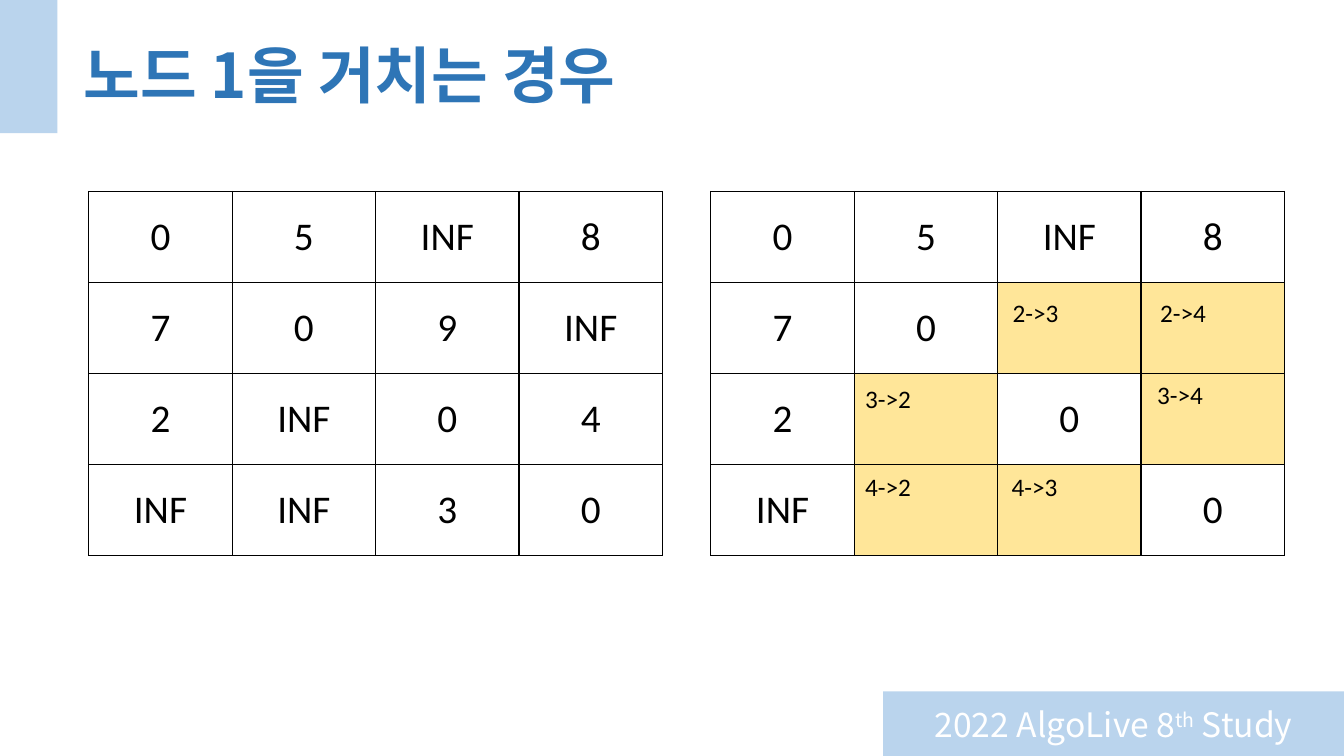
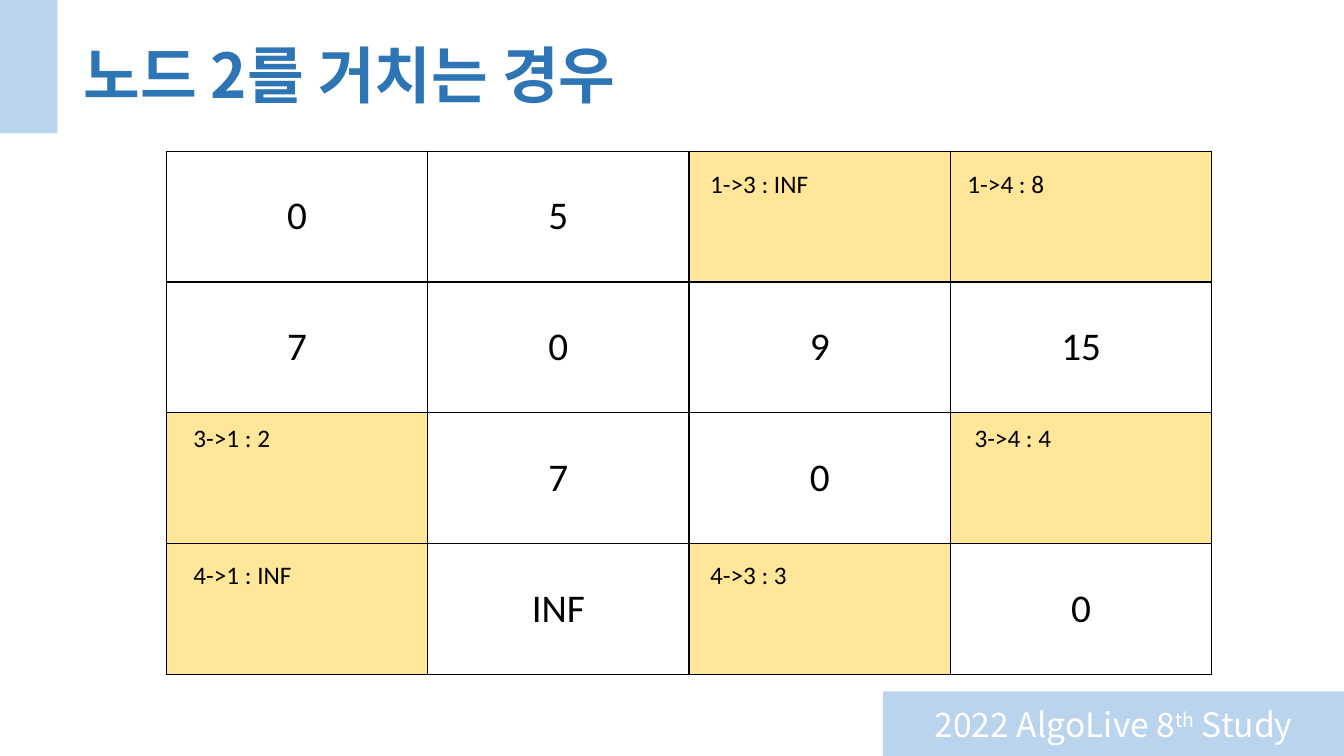
from pptx import Presentation
from pptx.dml.color import RGBColor
from pptx.enum.shapes import MSO_SHAPE
from pptx.enum.text import MSO_ANCHOR, PP_ALIGN
from pptx.oxml.ns import qn
from pptx.util import Inches, Pt
from lxml import etree

RECT = MSO_SHAPE.RECTANGLE
TOP, MIDDLE = MSO_ANCHOR.TOP, MSO_ANCHOR.MIDDLE
LEFT, CENTER = PP_ALIGN.LEFT, PP_ALIGN.CENTER

BAND, TITLE_BLUE, HIGHLIGHT = "9DC3E6", "2E75B6", "FFE699"
BLACK, WHITE = "000000", "FFFFFF"
HEADING_FONT, BODY_FONT = "Noto Sans CJK KR", "Calibri"
SLIDE_W, SLIDE_H = 13.33, 7.5
FOOTER = [("2022 AlgoLive 8", 0), ("th", 30), (" Study", 0)]

# Plain strings are distances; (label, dx, dy) marks a highlighted cell
# and the offset of its label from the cell's corner.
START = [
    ["0", "5", "INF", "8"],
    ["7", "0", "9", "INF"],
    ["2", "INF", "0", "4"],
    ["INF", "INF", "3", "0"],
]
VIA_NODE_1 = [
    ["0", "5", "INF", "8"],
    ["7", "0", ("2->3", 0.05, 0.1), ("2->4", 0.09, 0.1)],
    ["2", ("3->2", 0.01, 0.05), "0", ("3->4", 0.06, 0.01)],
    ["INF", ("4->2", 0.01, 0.02), ("4->3", 0.04, 0.02), "0"],
]
VIA_NODE_2 = [
    ["0", "5", ("1->3 : INF", 0.11, 0.12), ("1->4 : 8", 0.07, 0.12)],
    ["7", "0", "9", "15"],
    [("3->1 : 2", 0.17, 0.05), "7", "0", ("3->4 : 4", 0.14, 0.05)],
    [("4->1 : INF", 0.17, 0.11), "INF", ("4->3 : 3", 0.11, 0.11), "0"],
]


def color(hex_code):
    return RGBColor.from_string(hex_code)


def write(frame, runs, size=18, font=BODY_FONT, ink=BLACK, bold=False,
          align=LEFT, spacing=None):
    """Write one paragraph of (text, superscript percent) runs or a string."""
    paragraph = frame.paragraphs[0]
    paragraph.alignment = align
    if spacing:
        paragraph.line_spacing = spacing
    for text, raised in [(runs, 0)] if isinstance(runs, str) else runs:
        run = paragraph.add_run()
        run.text = text
        run.font.size, run.font.bold, run.font.name = Pt(size), bold, font
        run.font.color.rgb = color(ink)
        props = run._r.get_or_add_rPr()
        etree.SubElement(props, qn("a:ea")).set("typeface", font)
        if raised:
            props.set("baseline", str(raised * 1000))


def add_text(slide, box, text, anchor=TOP, **style):
    frame = slide.shapes.add_textbox(*map(Inches, box)).text_frame
    frame.word_wrap = True
    frame.vertical_anchor = anchor
    write(frame, text, **style)


def add_band(slide, box):
    band = slide.shapes.add_shape(RECT, *map(Inches, box))
    band.shadow.inherit = False
    band.fill.solid()
    band.fill.fore_color.rgb = color(BAND)
    band.line.fill.background()
    tint = band.fill._xPr.find(".//" + qn("a:srgbClr"))
    etree.SubElement(tint, qn("a:alpha")).set("val", "70000")
    return band


def add_frame(slide, title):
    """Corner band, title and footer shared by all slides."""
    add_band(slide, (0, 0, 0.57, 1.32))
    footer = add_band(slide, (SLIDE_W - 4.57, SLIDE_H - 0.64, 4.57, 0.64))
    footer.text_frame.vertical_anchor = MIDDLE
    write(footer.text_frame, FOOTER, size=24, font=HEADING_FONT, ink=WHITE,
          align=CENTER)
    add_text(slide, (0.73, 0.05, 11.5, 1.45), title, anchor=MIDDLE, size=44,
             font=HEADING_FONT, ink=TITLE_BLUE, bold=True, spacing=0.9)


def style_cell(cell, fill):
    # Borders come before the fill in the cell properties
    props = cell._tc.get_or_add_tcPr()
    for side in ("a:lnL", "a:lnR", "a:lnT", "a:lnB"):
        border = etree.SubElement(props, qn(side), w=str(Pt(1)))
        solid = etree.SubElement(border, qn("a:solidFill"))
        etree.SubElement(solid, qn("a:srgbClr"), val=BLACK)
    cell.fill.solid()
    cell.fill.fore_color.rgb = color(fill)
    cell.vertical_anchor = MIDDLE


def add_matrix(slide, box, matrix):
    """Distance table, with a label over each highlighted cell."""
    left, top, width, height = box
    n = len(matrix)
    col_w, row_h = width / n, height / n
    table = slide.shapes.add_table(n, n, *map(Inches, box)).table
    table.first_row = table.horz_banding = False
    for i, row in enumerate(matrix):
        table.rows[i].height = Inches(row_h)
        table.columns[i].width = Inches(col_w)
        for j, entry in enumerate(row):
            cell = table.cell(i, j)
            if isinstance(entry, str):
                style_cell(cell, WHITE)
                write(cell.text_frame, entry, size=28, align=CENTER)
            else:
                label, dx, dy = entry
                style_cell(cell, HIGHLIGHT)
                add_text(slide, (left + j * col_w + dx, top + i * row_h + dy,
                                 0.3 + 0.1 * len(label), 0.4), label)


def add_slide(deck, title, matrices):
    slide = deck.slides.add_slide(deck.slide_layouts[6])
    add_frame(slide, title)
    for box, matrix in matrices:
        add_matrix(slide, box, matrix)


def main():
    deck = Presentation()
    deck.slide_width, deck.slide_height = Inches(SLIDE_W), Inches(SLIDE_H)
    add_slide(deck, "노드 1을 거치는 경우", [
        ((0.88, 1.9, 5.69, 3.61), START),
        ((7.05, 1.9, 5.69, 3.61), VIA_NODE_1),
    ])
    add_slide(deck, "노드 2를 거치는 경우", [
        ((1.65, 1.5, 10.37, 5.19), VIA_NODE_2),
    ])
    deck.save("out.pptx")


if __name__ == "__main__":
    main()
